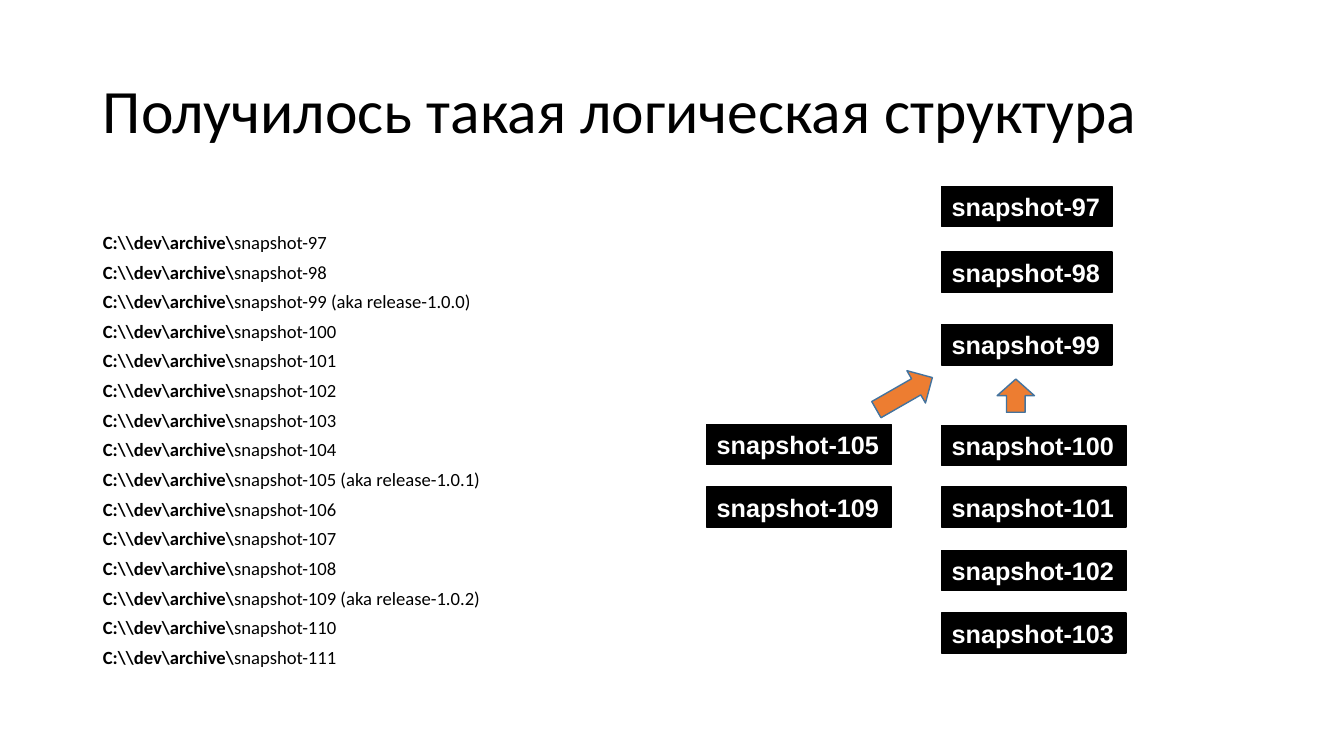
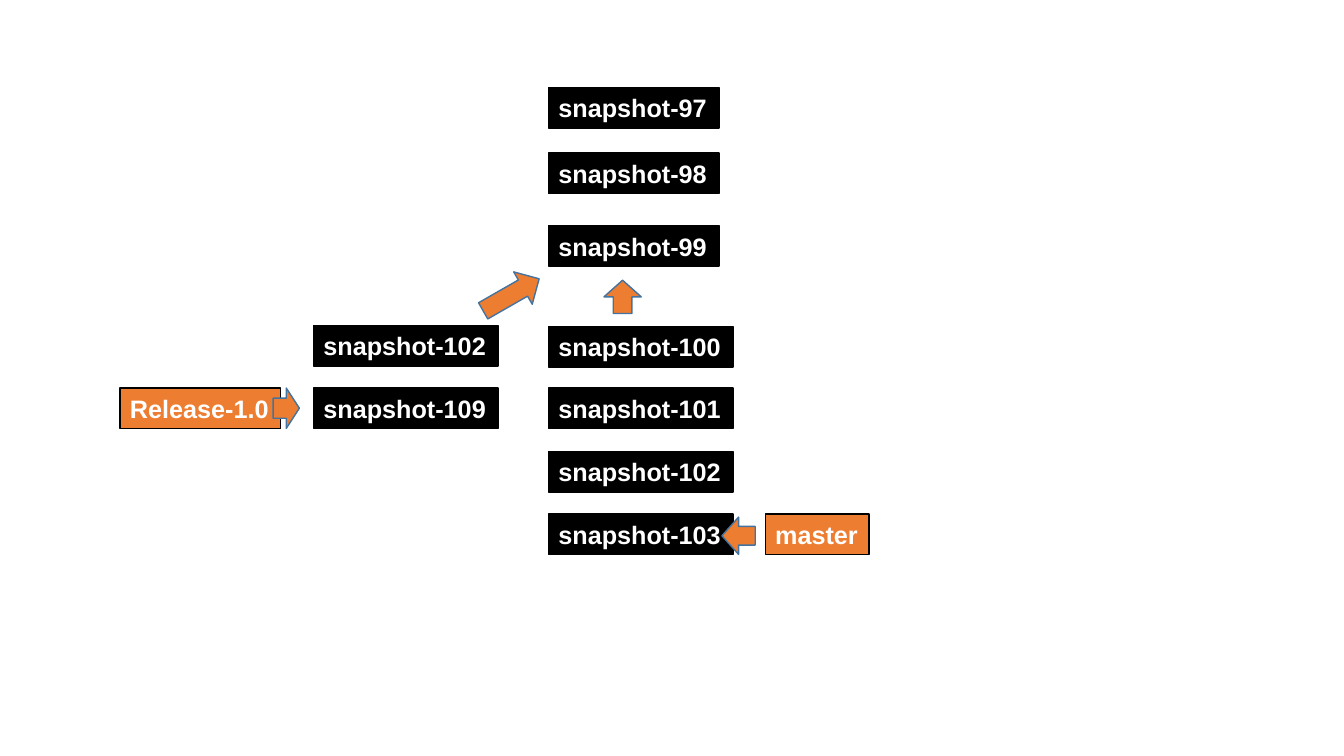
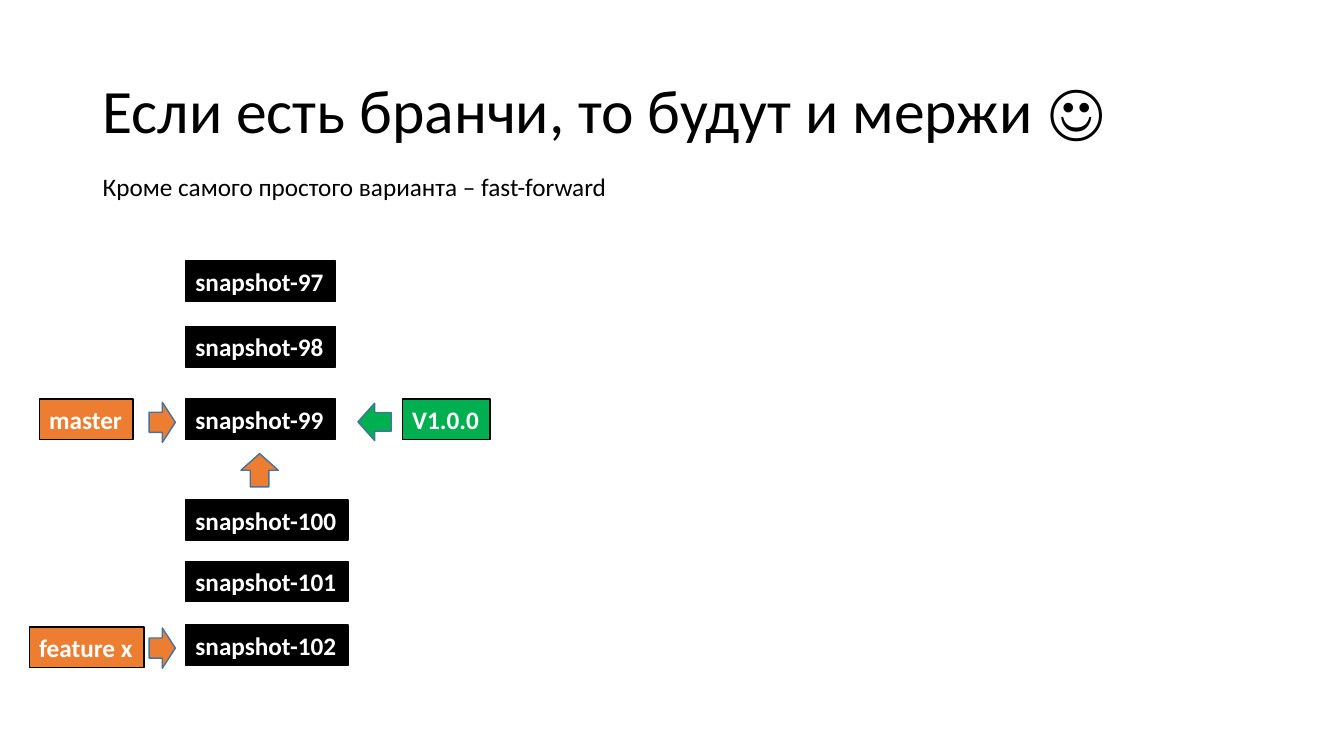
from dataclasses import dataclass

from lxml import etree
from pptx import Presentation, slide as sl, util as u
from pptx.dml import color as col
from pptx.enum import shapes, text
from pptx.oxml import ns

BLACK, WHITE, ORANGE, GREEN, EDGE = "000000", "FFFFFF", "ED7D31", "00B050", "43739E"
HIGH = 0.4
RIGHT, LEFT, UP, SLANT = 0, 180, 270, 330.2
STEPS = (0, 0.65, 1.37, 2.37, 2.98, 3.61, 4.23)
BRANCH_X, BRANCH_Y = -2.33, (2.36, 2.98)
ALIAS = {99: "1.0.0", 105: "1.0.1", 109: "1.0.2"}


@dataclass
class Box:
    name: str
    x: float
    y: float
    width: float
    fill: str = BLACK
    font: str = "Arial"


@dataclass
class Arrow:
    x: float
    y: float
    width: float = 0.33
    high: float = 0.37
    turn: float = RIGHT
    fill: str = ORANGE


@dataclass
class Tree:
    """Snapshots from 97 down one trunk, with an optional branch to the left."""
    x: float
    y: float
    count: int
    font: str
    widths: tuple[float, float]  # for two and for three digits
    branch: tuple[int, ...] = ()


def rgb(code: str) -> col.RGBColor:
    return col.RGBColor.from_string(code)


def write(para, words: str, *, size: float = 18, font: str = "Calibri",
          color: str = BLACK, bold: bool = False) -> None:
    run = para.add_run()
    run.text = words
    run.font.size, run.font.name, run.font.bold = u.Pt(size), font, bold
    run.font.color.rgb = rgb(color)


def place(shape, x: float, y: float, width: float, high: float) -> None:
    shape.left, shape.top = u.Inches(x), u.Inches(y)
    shape.width, shape.height = u.Inches(width), u.Inches(high)


def add_form(page: sl.Slide, kind, x: float, y: float, width: float, high: float,
             fill: str, edge: str):
    form = page.shapes.add_shape(kind, *map(u.Inches, (x, y, width, high)))
    form.shadow.inherit = False
    form.fill.solid()
    form.fill.fore_color.rgb = rgb(fill)
    form.line.color.rgb = rgb(edge)
    form.line.width = u.Pt(1)
    return form


def fit(frame) -> None:
    """Keep one left-aligned line in a frame that grows with it."""
    frame.word_wrap = False
    frame.auto_size = text.MSO_AUTO_SIZE.SHAPE_TO_FIT_TEXT
    frame.paragraphs[0].alignment = text.PP_ALIGN.LEFT


def add_box(page: sl.Slide, box: Box) -> None:
    form = add_form(page, shapes.MSO_SHAPE.RECTANGLE, box.x, box.y, box.width, HIGH,
                    box.fill, BLACK)
    fit(form.text_frame)
    write(form.text_frame.paragraphs[0], box.name, font=box.font, color=WHITE, bold=True)


def add_arrow(page: sl.Slide, mark: Arrow) -> None:
    form = add_form(page, shapes.MSO_SHAPE.RIGHT_ARROW, mark.x, mark.y, mark.width,
                    mark.high, mark.fill, EDGE)
    form.rotation = mark.turn


def add_tree(page: sl.Slide, tree: Tree) -> None:
    short, long = tree.widths
    for num, step in enumerate(STEPS[:tree.count], 97):
        width = short if num < 100 else long
        add_box(page, Box(f"snapshot-{num}", tree.x, tree.y + step, width, font=tree.font))
    for num, step in zip(tree.branch, BRANCH_Y):
        add_box(page, Box(f"snapshot-{num}", tree.x + BRANCH_X, tree.y + step, long,
                          font=tree.font))
    add_arrow(page, Arrow(tree.x + 0.57, tree.y + 1.89, turn=UP))
    if tree.branch:
        add_arrow(page, Arrow(tree.x - 0.69, tree.y + 1.87, 0.64, turn=SLANT))


def add_title(page: sl.Slide, words: str) -> None:
    title = page.shapes.title
    place(title, 0.92, 0.4, 11.5, 1.45)
    frame = title.text_frame
    frame.auto_size = text.MSO_AUTO_SIZE.NONE
    frame.vertical_anchor = text.MSO_ANCHOR.MIDDLE
    para = frame.paragraphs[0]
    para.alignment, para.line_spacing = text.PP_ALIGN.LEFT, 0.9
    write(para, words, size=44)


def add_list(page: sl.Slide) -> None:
    body = page.placeholders[1]
    place(body, 0.92, 2.3, 11.5, 4.46)
    frame = body.text_frame
    frame.auto_size = text.MSO_AUTO_SIZE.NONE
    for num in range(97, 112):
        para = frame.paragraphs[0] if num == 97 else frame.add_paragraph()
        para.line_spacing, para.space_before = 0.7, u.Pt(10)
        props = para._p.get_or_add_pPr()
        props.set("marL", "0")
        props.set("indent", "0")
        etree.SubElement(props, ns.qn("a:buNone"))
        note = f" (aka release-{ALIAS[num]})" if num in ALIAS else ""
        write(para, "С:\\\\dev\\archive\\", size=13.3, bold=True)
        write(para, f"snapshot-{num}{note}", size=13.3)


def add_note(page: sl.Slide, words: str) -> None:
    note = page.shapes.add_textbox(*map(u.Inches, (0.92, 1.65, 5.26, HIGH)))
    fit(note.text_frame)
    write(note.text_frame.paragraphs[0], words)


def main() -> None:
    deck = Presentation()
    deck.slide_width, deck.slide_height = u.Inches(13.33), u.Inches(7.5)
    full, head, blank = (deck.slide_layouts[i] for i in (1, 5, 6))
    arial, calibri = (1.69, 1.83), (1.49, 1.61)

    page = deck.slides.add_slide(full)
    add_title(page, "Получилось такая логическая структура")
    add_list(page)
    add_tree(page, Tree(9.34, 1.85, 7, "Arial", arial, (105, 109)))

    page = deck.slides.add_slide(blank)
    add_tree(page, Tree(5.44, 0.87, 7, "Arial", arial, (102, 109)))
    add_box(page, Box("master", 7.59, 5.1, 1.03, ORANGE))
    add_box(page, Box("Release-1.0", 1.19, 3.85, 1.59, ORANGE))
    add_arrow(page, Arrow(2.71, 3.85, 0.26, HIGH))
    add_arrow(page, Arrow(7.16, 5.13, turn=LEFT))

    page = deck.slides.add_slide(head)
    add_title(page, "Если есть бранчи, то будут и мержи ☺")
    add_note(page, "Кроме самого простого варианта – fast-forward")
    add_tree(page, Tree(1.84, 2.59, 6, "Calibri", calibri))
    for box in (Box("V1.0.0", 3.99, 3.96, 0.87, GREEN, "Calibri"),
                Box("master", 0.39, 3.96, 0.93, ORANGE, "Calibri"),
                Box("feature x", 0.29, 6.22, 1.14, ORANGE, "Calibri")):
        add_box(page, box)
    add_arrow(page, Arrow(3.55, 4, turn=LEFT, fill=GREEN))
    for y in (3.99, 6.23):
        add_arrow(page, Arrow(1.48, y, 0.26, HIGH))

    deck.save("out.pptx")


if __name__ == "__main__":
    main()
